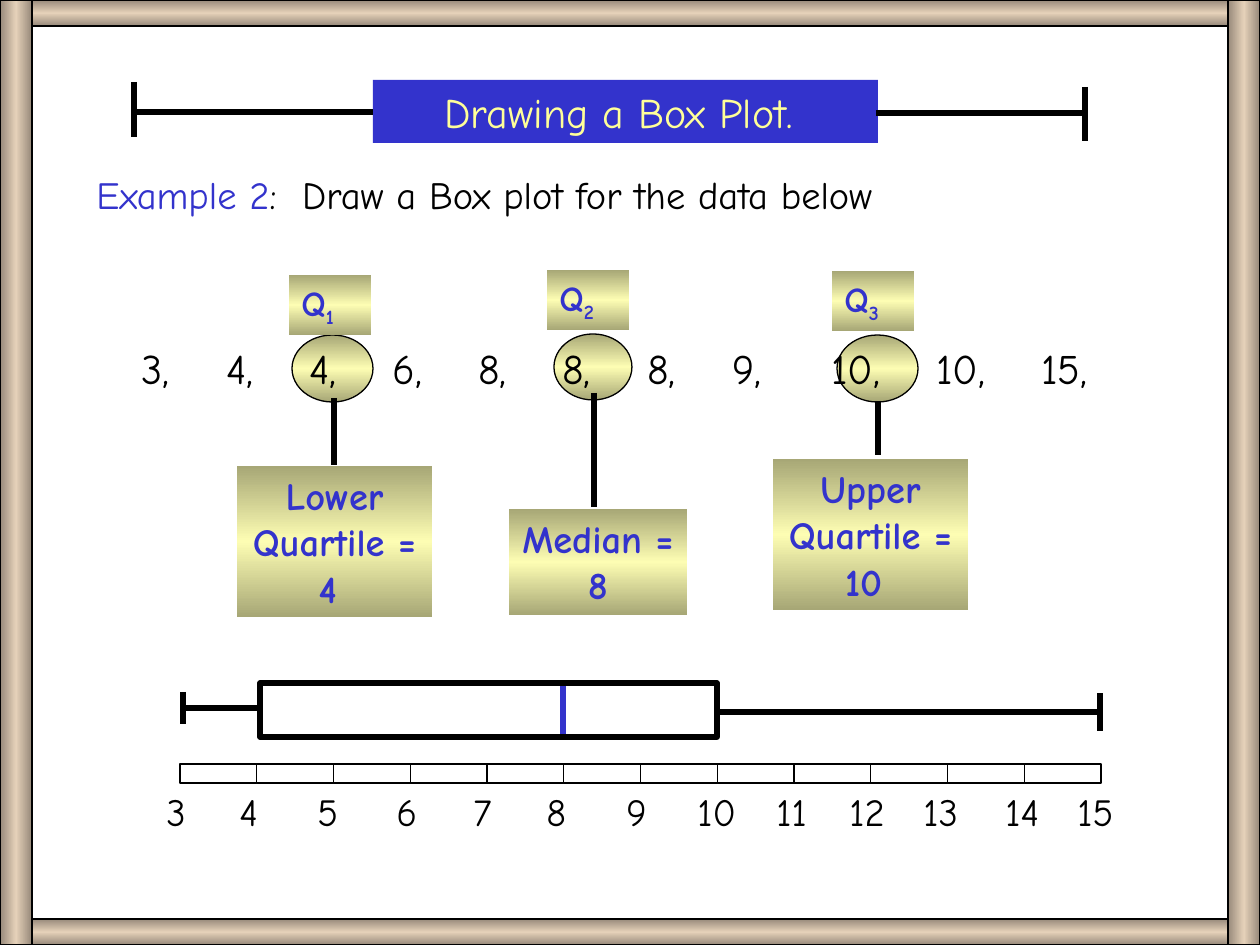
"""Build a slide that explains how to draw a box plot from a list of data."""
import copy
import pptx
import pptx.util
import pptx.dml.color
import pptx.enum.shapes
import pptx.enum.text
import pptx.oxml.ns

KIND = pptx.enum.shapes.MSO_SHAPE
ALIGN = pptx.enum.text.PP_ALIGN
QN = pptx.oxml.ns.qn
FONT = "Comic Neue"
BLACK, BLUE, CREAM = "000000", "3333CC", "FFFF99"
GOLD = ("A7A776", "FDFDB3", "A7A776")
WOOD = ("97897A", "E5D1B9", "97897A")
WIDE, HIGH, SCALE = 1260, 945, 914400 / 126

DATA = [3, 4, 4, 6, 8, 8, 8, 9, 10, 10, 15]
STOPS = [85, 168, 251, 337, 421, 506, 591, 690, 795, 900]
CALLS = [
    {"sub": "3", "text": "Upper Quartile = 10 ", "oval": (837, 335, 81, 67),
     "note": (773, 459, 195, 151), "tag": (832, 271), "stem": (878, 401, 455)},
    {"sub": "1", "text": "Lower Quartile = 4 ", "oval": (292, 335, 81, 67),
     "note": (237, 466, 195, 151), "tag": (289, 275), "stem": (334, 398, 465)},
    {"sub": "2", "text": "Median = 8", "oval": (554, 334, 78, 66),
     "note": (509, 509, 178, 106), "tag": (547, 270), "stem": (594, 393, 507)},
]
HEAD = [(876, 113, 1087, 113), (1085, 87, 1085, 141),
        (373, 112, 135, 112), (134, 82, 134, 137)]
WHISK = [(183, 708, 260, 708), (183, 692, 183, 724),
         (719, 712, 1102, 712), (1100, 693, 1100, 731)]
FIRST, LAST, START, STEP = 3, 15, 180, 76.75
MARKS = [154, 227, 305, 384, 461, 534, 614, 685, 764, 837, 911, 993, 1065]
FRAME = [(0, 0, WIDE, 26, 90), (0, 919, WIDE, 26, 90),
         (0, 0, 32, HIGH, 0), (1228, 0, 32, HIGH, 0)]


def px(num):
    return pptx.util.Emu(round(num * SCALE))


def color(code):
    return pptx.dml.color.RGBColor.from_string(code)


def blend(shape, codes, angle):
    shape.fill.gradient()
    shape.fill.gradient_angle = angle
    stops = shape._element.spPr.find(".//" + QN("a:gsLst"))
    stops.insert(1, copy.deepcopy(stops[0]))
    for stop, code, pos in zip(shape.fill.gradient_stops, codes, (0, 0.5, 1)):
        stop.color.rgb = color(code)
        stop.position = pos


def block(slide, kind, area, fill=None, line=None, angle=90):
    shape = slide.shapes.add_shape(kind, *map(px, area))
    shape.shadow.inherit = False
    if fill is None:
        shape.fill.background()
    elif isinstance(fill, tuple):
        blend(shape, fill, angle)
    else:
        shape.fill.solid()
        shape.fill.fore_color.rgb = color(fill)
    if line is None:
        shape.line.fill.background()
    else:
        shape.line.color.rgb = color(BLACK)
        shape.line.width = pptx.util.Pt(line)
    return shape


def rule(slide, ends, code=BLACK):
    line = slide.shapes.add_connector(
        pptx.enum.shapes.MSO_CONNECTOR.STRAIGHT, *map(px, ends))
    line.line.color.rgb = color(code)
    line.line.width = pptx.util.Pt(3)
    line._element.spPr.add_effectLst() if hasattr(
        line._element.spPr, "add_effectLst") else line._element.spPr.append(
        pptx.oxml.parse_xml('<a:effectLst %s/>' % pptx.oxml.ns.nsdecls("a")))


def write(shape, runs, size, align=ALIGN.LEFT, bold=False):
    frame = shape.text_frame
    frame.word_wrap = True
    frame.vertical_anchor = pptx.enum.text.MSO_ANCHOR.TOP
    para = frame.paragraphs[0]
    para.alignment = align
    for text, code in runs:
        run = para.add_run()
        run.text = text
        run.font.name = FONT
        run.font.size = pptx.util.Pt(size)
        run.font.bold = bold
        run.font.color.rgb = color(code)
    return para


def label(slide, area, runs, size):
    return write(slide.shapes.add_textbox(*map(px, area)), runs, size)


def callout(slide, call):
    block(slide, KIND.OVAL, call["oval"], GOLD, 0.75)
    note = block(slide, KIND.RECTANGLE, call["note"], GOLD)
    write(note, [(call["text"], BLUE)], 22, ALIGN.CENTER, True)
    mid, top, end = call["stem"]
    rule(slide, (mid, top, mid, end))
    tag = block(slide, KIND.RECTANGLE, call["tag"] + (82, 60), GOLD)
    para = write(tag, [("Q", BLUE), (call["sub"], BLUE)], 20, bold=True)
    para.runs[1].font._element.set("baseline", "-25000")


def values(slide):
    para = label(slide, (129, 336, 1023, 63),
                 [("\t".join(f"{num}," for num in DATA), BLACK)], 24)
    props = para._p.get_or_add_pPr()
    tabs = props.makeelement(QN("a:tabLst"), {})
    props.append(tabs)
    for stop in STOPS:
        tabs.append(tabs.makeelement(
            QN("a:tab"), {"pos": str(px(stop)), "algn": "l"}))


def axis(slide):
    for step in range(LAST - FIRST):
        block(slide, KIND.RECTANGLE, (START + step * STEP, 764, STEP, 19), line=0.75)
    for num, left in zip(range(FIRST, LAST + 1), MARKS):
        label(slide, (left, 782, 53 if num < 9 else 84, 59), [(str(num), BLACK)], 22)


def main():
    deck = pptx.Presentation()
    deck.slide_width, deck.slide_height = px(WIDE), px(HIGH)
    slide = deck.slides.add_slide(deck.slide_layouts[6])
    for call in CALLS:
        callout(slide, call)
    values(slide)
    label(slide, (84, 165, 1137, 59),
          [("Example 2", BLUE), (":  Draw a Box plot for the data below", BLACK)], 22)
    title = block(slide, KIND.RECTANGLE, (373, 80, 505, 63), BLUE)
    write(title, [("Drawing a Box Plot. ", CREAM)], 24, ALIGN.CENTER)
    for ends in HEAD:
        rule(slide, ends)
    rule(slide, (563, 736, 563, 683), BLUE)
    block(slide, KIND.RECTANGLE, (260, 683, 457, 54), line=3)
    for ends in WHISK:
        rule(slide, ends)
    axis(slide)
    for *area, angle in FRAME:
        block(slide, KIND.RECTANGLE, area, WOOD, 0.75, angle)
    deck.save("out.pptx")


if __name__ == "__main__":
    main()
